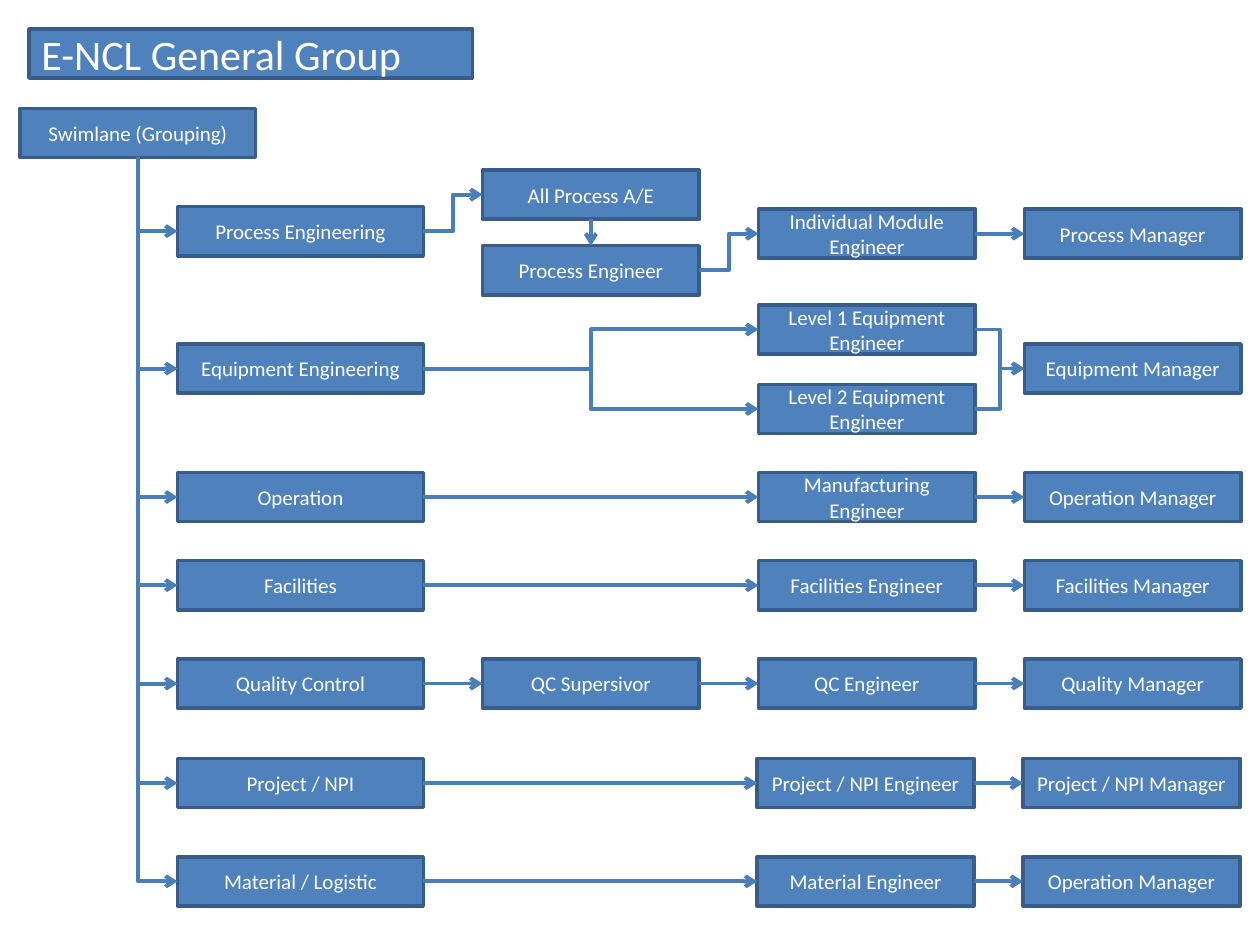
from lxml.etree import SubElement
from pptx import Presentation
from pptx.dml.color import RGBColor
from pptx.enum.shapes import MSO_CONNECTOR, MSO_SHAPE
from pptx.enum.text import MSO_ANCHOR, PP_ALIGN
from pptx.oxml.ns import qn
from pptx.util import Inches, Pt

THEME = {
    "fill": RGBColor(0x4F, 0x81, 0xBD),
    "outline": RGBColor(0x38, 0x5D, 0x8A),
    "arrow": RGBColor(0x4A, 0x7E, 0xBB),
    "text": RGBColor(0xFF, 0xFF, 0xFF),
    "font": "Calibri",
    "title_size": Pt(24),
    "box_size": Pt(12),
    "outline_width": Pt(2),
    "arrow_width": Pt(2.25),
}
TOP, LEFT, BOTTOM, RIGHT = range(4)
BOX_HEIGHT = 0.39
COLUMNS = {"group": (1.41, 1.95), "support": (3.83, 1.72), "engineer": (6.02, 1.72), "manager": (8.13, 1.72)}

TITLE = ("E-NCL General Group", 0.23, 0.23, 3.52)
ROOT = ("Swimlane (Grouping)", 0.16, 0.86, 1.87)
# fmt: off
LANES = [
    (2.73, 0, {"group": "Equipment Engineering", "manager": "Equipment Manager"}),
    (3.75, 0, {"group": "Operation", "engineer": "Manufacturing Engineer", "manager": "Operation Manager"}),
    (4.45, 0, {"group": "Facilities", "engineer": "Facilities Engineer", "manager": "Facilities Manager"}),
    (5.23, 0, {"group": "Quality Control", "support": "QC Supersivor", "engineer": "QC Engineer", "manager": "Quality Manager"}),
    (6.02, -0.01, {"group": "Project / NPI", "engineer": "Project / NPI Engineer", "manager": "Project / NPI Manager"}),
    (6.8, -0.01, {"group": "Material / Logistic", "engineer": "Material Engineer", "manager": "Operation Manager"}),
]
BRANCH_BOXES = [
    ("Process Engineering", "group", 1.64),
    ("All Process A/E", "support", 1.35),
    ("Process Engineer", "support", 1.95),
    ("Individual Module Engineer", "engineer", 1.66),
    ("Process Manager", "manager", 1.66),
    ("Level 1 Equipment Engineer", "engineer", 2.42),
    ("Level 2 Equipment Engineer", "engineer", 3.05),
]
BRANCH_LINKS = [
    ("Process Engineering", RIGHT, "All Process A/E", LEFT),
    ("All Process A/E", BOTTOM, "Process Engineer", TOP),
    ("Process Engineer", RIGHT, "Individual Module Engineer", LEFT),
    ("Individual Module Engineer", RIGHT, "Process Manager", LEFT),
    ("Equipment Engineering", RIGHT, "Level 1 Equipment Engineer", LEFT),
    ("Equipment Engineering", RIGHT, "Level 2 Equipment Engineer", LEFT),
    ("Level 1 Equipment Engineer", RIGHT, "Equipment Manager", LEFT),
    ("Level 2 Equipment Engineer", RIGHT, "Equipment Manager", LEFT),
]
# fmt: on


def set_values(target, values):
    for name, value in values.items():
        setattr(target, name, value)


def add_box(slide, text, left, top, width, size=THEME["box_size"], align=PP_ALIGN.CENTER):
    shape = slide.shapes.add_shape(
        MSO_SHAPE.RECTANGLE, Inches(left), Inches(top), Inches(width), Inches(BOX_HEIGHT)
    )
    shape.shadow.inherit = False
    shape.fill.solid()
    shape.fill.fore_color.rgb = THEME["fill"]
    shape.line.color.rgb = THEME["outline"]
    shape.line.width = THEME["outline_width"]
    set_values(shape.text_frame, {"text": text, "word_wrap": True, "vertical_anchor": MSO_ANCHOR.MIDDLE})
    paragraph = shape.text_frame.paragraphs[0]
    paragraph.alignment = align
    set_values(paragraph.font, {"name": THEME["font"], "size": size})
    paragraph.font.color.rgb = THEME["text"]
    return shape


def add_arrow(slide, start, start_side, end, end_side, kind=MSO_CONNECTOR.STRAIGHT):
    connector = slide.shapes.add_connector(kind, 0, 0, 0, 0)
    connector.begin_connect(start, start_side)
    connector.end_connect(end, end_side)
    connector.line.color.rgb = THEME["arrow"]
    connector.line.width = THEME["arrow_width"]
    SubElement(connector.line._get_or_add_ln(), qn("a:tailEnd"), type="arrow")
    SubElement(connector._element.spPr, qn("a:effectLst"))
    return connector


def add_trunk(slide, root, group):
    connector = add_arrow(slide, root, BOTTOM, group, LEFT, MSO_CONNECTOR.ELBOW)
    left, top, width, height = connector.left, connector.top, connector.width, connector.height
    set_values(connector, {
        "left": left + (width - height) // 2,
        "top": top + (height - width) // 2,
        "width": height,
        "height": width,
    })
    properties = connector._element.spPr
    properties.find(qn("a:prstGeom")).set("prst", "bentConnector2")
    transform = properties.find(qn("a:xfrm"))
    transform.set("rot", "16200000")
    transform.set("flipH", "1")


def main():
    """Build the general group flow chart."""
    presentation = Presentation()
    set_values(presentation, {"slide_width": Inches(10), "slide_height": Inches(7.5)})
    slide = presentation.slides.add_slide(presentation.slide_layouts[6])
    add_box(slide, *TITLE, size=THEME["title_size"], align=PP_ALIGN.LEFT)
    root = add_box(slide, *ROOT)

    boxes = {}
    groups = []
    for text, column, top in BRANCH_BOXES:
        left, width = COLUMNS[column]
        boxes[text] = add_box(slide, text, left, top, width)
        if column == "group":
            groups.append(boxes[text])

    for top, shift, steps in LANES:
        lane = []
        for column, text in steps.items():
            left, width = COLUMNS[column]
            offset = 0 if column == "group" else shift
            boxes[text] = add_box(slide, text, left + offset, top, width)
            lane.append(boxes[text])
        groups.append(lane[0])
        if "engineer" in steps:
            for start, end in zip(lane, lane[1:]):
                add_arrow(slide, start, RIGHT, end, LEFT)

    for start_name, start_side, end_name, end_side in BRANCH_LINKS:
        start, end = boxes[start_name], boxes[end_name]
        straight = start.top == end.top or start.left == end.left
        kind = MSO_CONNECTOR.STRAIGHT if straight else MSO_CONNECTOR.ELBOW
        add_arrow(slide, start, start_side, end, end_side, kind)

    for group in groups:
        add_trunk(slide, root, group)
    presentation.save("out.pptx")


if __name__ == "__main__":
    main()
